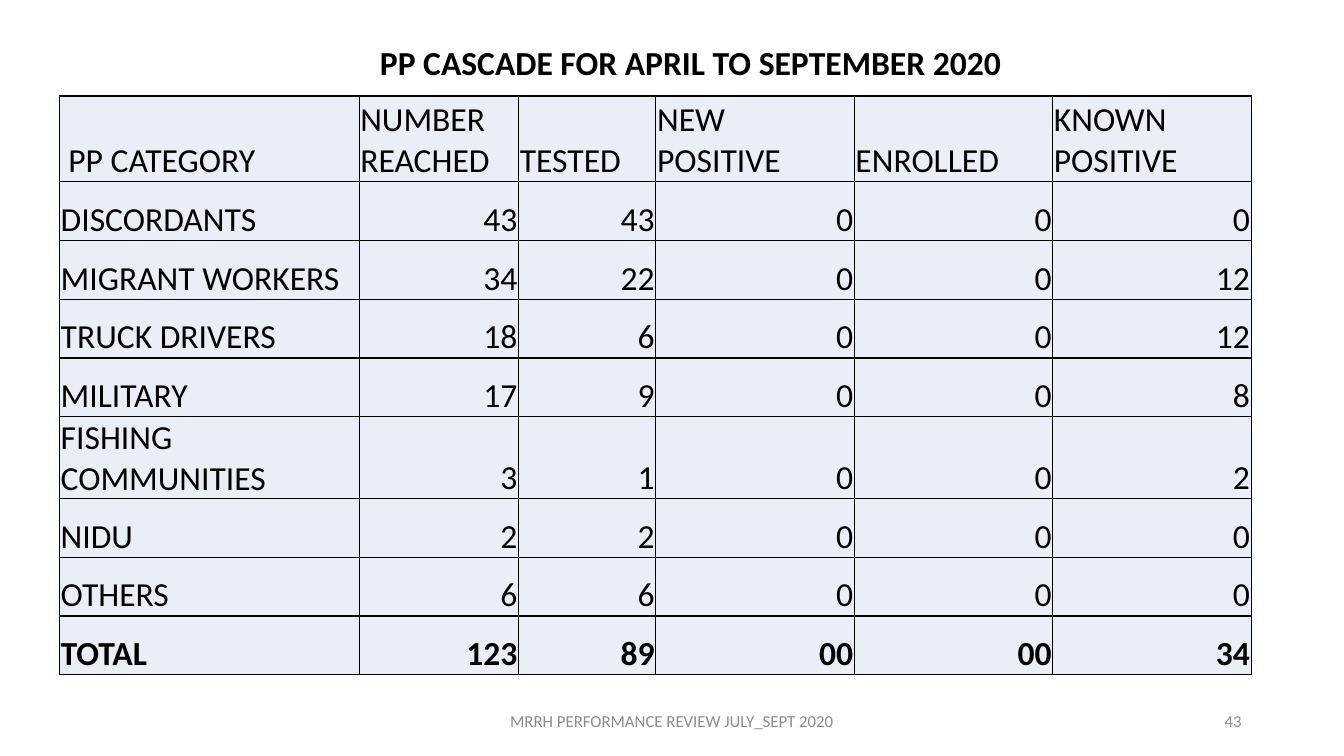
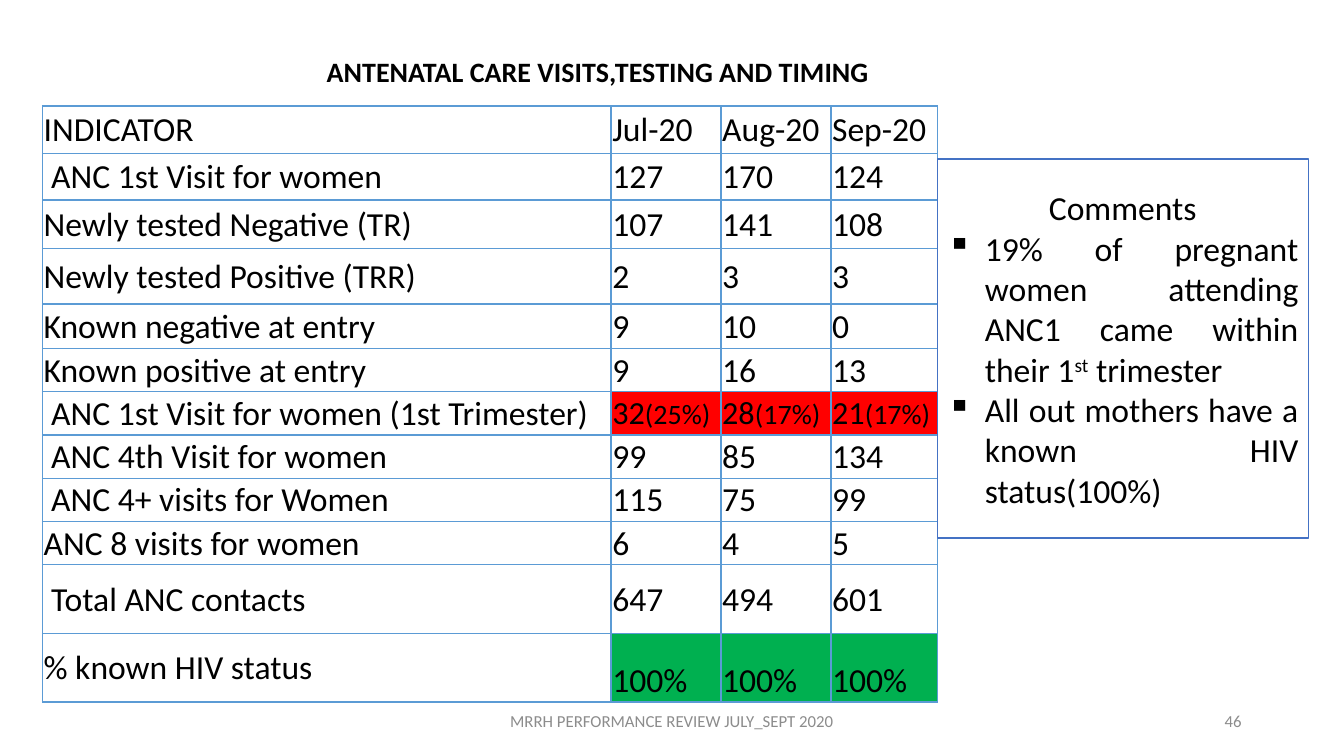
from dataclasses import dataclass

from lxml import etree
from pptx import Presentation
from pptx.dml.color import RGBColor
from pptx.enum.shapes import MSO_SHAPE
from pptx.enum.text import MSO_ANCHOR, MSO_AUTO_SIZE, PP_ALIGN
from pptx.oxml.ns import qn
from pptx.util import Cm, Pt

LEFT, CENTER, RIGHT, JUSTIFY = PP_ALIGN.LEFT, PP_ALIGN.CENTER, PP_ALIGN.RIGHT, PP_ALIGN.JUSTIFY
TOP, MIDDLE, BOTTOM = MSO_ANCHOR.TOP, MSO_ANCHOR.MIDDLE, MSO_ANCHOR.BOTTOM
TITLE_ONLY = 5


@dataclass(frozen=True)
class Theme:
    font: str = "Calibri"
    black: str = "000000"
    white: str = "FFFFFF"
    grey: str = "8C8C8C"
    pale_blue: str = "EAEFF7"
    border_blue: str = "5B9BD5"
    box_blue: str = "4472C4"
    red: str = "FF0000"
    green: str = "00B050"
    body: int = 24
    footer: int = 12
    count: int = 23
    share: int = 20


T = Theme()
FOOTER = "MRRH PERFORMANCE REVIEW JULY_SEPT 2020"

prs = Presentation()
prs.slide_width, prs.slide_height = Cm(33.87), Cm(19.05)


def style(p, size, color=T.black, align=LEFT, bold=False):
    p.alignment = align
    f = p.font
    f.name, f.size, f.bold = T.font, Pt(size), bold
    f.color.rgb = RGBColor.from_string(color)


def add_bordered_table(s, left, top, widths, heights, border):
    """Add an unbanded table with thin borders and tight cell margins."""
    tbl = s.shapes.add_table(len(heights), len(widths), Cm(left), Cm(top),
                             Cm(sum(widths)), Cm(sum(heights))).table
    tbl.first_row = tbl.horz_banding = False
    for col, w in zip(tbl.columns, widths):
        col.width = Cm(w)
    for row, h in zip(tbl.rows, heights):
        row.height = Cm(h)
    for cell in tbl.iter_cells():
        cell.margin_left = cell.margin_right = cell.margin_top = Cm(0.03)
        cell.margin_bottom = 0
        tcPr = cell._tc.get_or_add_tcPr()
        for side in ("a:lnL", "a:lnR", "a:lnT", "a:lnB"):
            ln = etree.SubElement(tcPr, qn(side), w=str(Pt(1)))
            fill = etree.SubElement(ln, qn("a:solidFill"))
            etree.SubElement(fill, qn("a:srgbClr"), val=border)
        cell.fill.solid()
    return tbl


# Titles and footers
slides = []
for title, size, (x, y, w, h), number in [
    ("PP CASCADE FOR APRIL TO SEPTEMBER 2020", 24, (9.32, 0.94, 16.5, 1.27), "43"),
    ("ANTENATAL CARE VISITS,TESTING AND TIMING", 20, (7.98, 1.24, 14.45, 1.12), "46"),
]:
    s = prs.slides.add_slide(prs.slide_layouts[TITLE_ONLY])
    slides.append(s)
    sp = s.shapes.title
    sp.left, sp.top, sp.width, sp.height = Cm(x), Cm(y), Cm(w), Cm(h)
    tf = sp.text_frame
    tf.text = title
    tf.word_wrap, tf.auto_size, tf.vertical_anchor = False, MSO_AUTO_SIZE.NONE, TOP
    style(tf.paragraphs[0], size, bold=True)
    for text, x, w, align in [(FOOTER, 11.22, 11.43, CENTER), (number, 23.92, 7.62, RIGHT)]:
        tf = s.shapes.add_textbox(Cm(x), Cm(17.66), Cm(w), Cm(1.01)).text_frame
        tf.text = text
        tf.word_wrap, tf.vertical_anchor = True, MIDDLE
        style(tf.paragraphs[0], T.footer, T.grey, align)

cascade_slide, antenatal_slide = slides

# PP cascade
cascade = [
    (" PP CATEGORY", "NUMBER REACHED", "TESTED", "NEW POSITIVE", "ENROLLED", "KNOWN POSITIVE"),
    ("DISCORDANTS", "43", "43", "0", "0", "0"),
    ("MIGRANT WORKERS", "34", "22", "0", "0", "12"),
    ("TRUCK DRIVERS", "18", "6", "0", "0", "12"),
    ("MILITARY", "17", "9", "0", "0", "8"),
    ("FISHING COMMUNITIES", "3", "1", "0", "0", "2"),
    ("NIDU", "2", "2", "0", "0", "0"),
    ("OTHERS", "6", "6", "0", "0", "0"),
    ("TOTAL", "123", "89", "00", "00", "34"),
]
tbl = add_bordered_table(cascade_slide, 1.5, 2.42, [7.55, 4.02, 3.46, 5, 5, 5],
                         [2.16] + [1.48] * 8, T.black)
for i, row in enumerate(cascade):
    for j, text in enumerate(row):
        cell = tbl.cell(i, j)
        cell.fill.fore_color.rgb = RGBColor.from_string(T.pale_blue)
        cell.vertical_anchor = BOTTOM
        cell.text = text
        style(cell.text_frame.paragraphs[0], T.body,
              align=RIGHT if i and j else LEFT, bold=row[0] == "TOTAL")

# Antenatal care
TRIMESTER = " ANC 1st Visit for women (1st Trimester)"
KNOWN_STATUS = "% known HIV status"
antenatal = [
    ("INDICATOR", "Jul-20", "Aug-20", "Sep-20"),
    (" ANC 1st Visit for women", "127", "170", "124"),
    ("Newly tested Negative (TR)", "107", "141", "108"),
    ("Newly tested Positive (TRR)", "2", "3", "3"),
    ("Known negative at entry", "9", "10", "0"),
    ("Known positive at entry", "9", "16", "13"),
    (TRIMESTER, "32(25%)", "28(17%)", "21(17%)"),
    (" ANC 4th Visit for women", "99", "85", "134"),
    (" ANC 4+ visits for Women", "115", "75", "99"),
    ("ANC 8 visits for women", "6", "4", "5"),
    (" Total ANC contacts", "647", "494", "601"),
    (KNOWN_STATUS, "100%", "100%", "100%"),
]
highlights = {TRIMESTER: T.red, KNOWN_STATUS: T.green}
tbl = add_bordered_table(antenatal_slide, 1.07, 2.67, [14.33, 2.77, 2.77, 2.69],
                         [1.19, 1.18, 1.22, 1.4, 1.12] + [1.09] * 5 + [1.73] * 2,
                         T.border_blue)
for i, row in enumerate(antenatal):
    for j, text in enumerate(row):
        cell = tbl.cell(i, j)
        color = highlights.get(row[0], T.white) if j else T.white
        cell.fill.fore_color.rgb = RGBColor.from_string(color)
        cell.vertical_anchor = BOTTOM if color == T.green else MIDDLE
        p = cell.text_frame.paragraphs[0]
        style(p, T.body)
        if color == T.red:
            count, share = text.split("(")
            for part, size in [(count, T.count), ("(" + share, T.share)]:
                r = p.add_run()
                r.text, r.font.size = part, Pt(size)
        else:
            p.add_run().text = text

# Comments
box = antenatal_slide.shapes.add_shape(MSO_SHAPE.RECTANGLE, Cm(23.62), Cm(4.01), Cm(9.35), Cm(9.55))
box.shadow.inherit = False
box.fill.solid()
box.fill.fore_color.rgb = RGBColor.from_string(T.white)
box.line.color.rgb = RGBColor.from_string(T.box_blue)
box.line.width = Pt(1)
tf = box.text_frame
tf.word_wrap, tf.vertical_anchor = True, MIDDLE
tf.text = "Comments"
style(tf.paragraphs[0], T.body, align=CENTER)
for runs in [
    ("19% of pregnant women attending ANC1 came within their 1", "st", " trimester"),
    ("All out mothers have a known HIV status(100%)",),
]:
    p = tf.add_paragraph()
    style(p, T.body, align=JUSTIFY)
    pPr = p._p.get_or_add_pPr()
    pPr.set("marL", str(Cm(0.95)))
    pPr.set("indent", str(-Cm(0.95)))
    bullet = etree.Element(qn("a:buChar"), char="▪")
    pPr.insert(0, bullet)
    for text in runs:
        r = p.add_run()
        r.text = text
        if text == "st":
            r._r.get_or_add_rPr().set("baseline", "30000")

prs.save("out.pptx")
